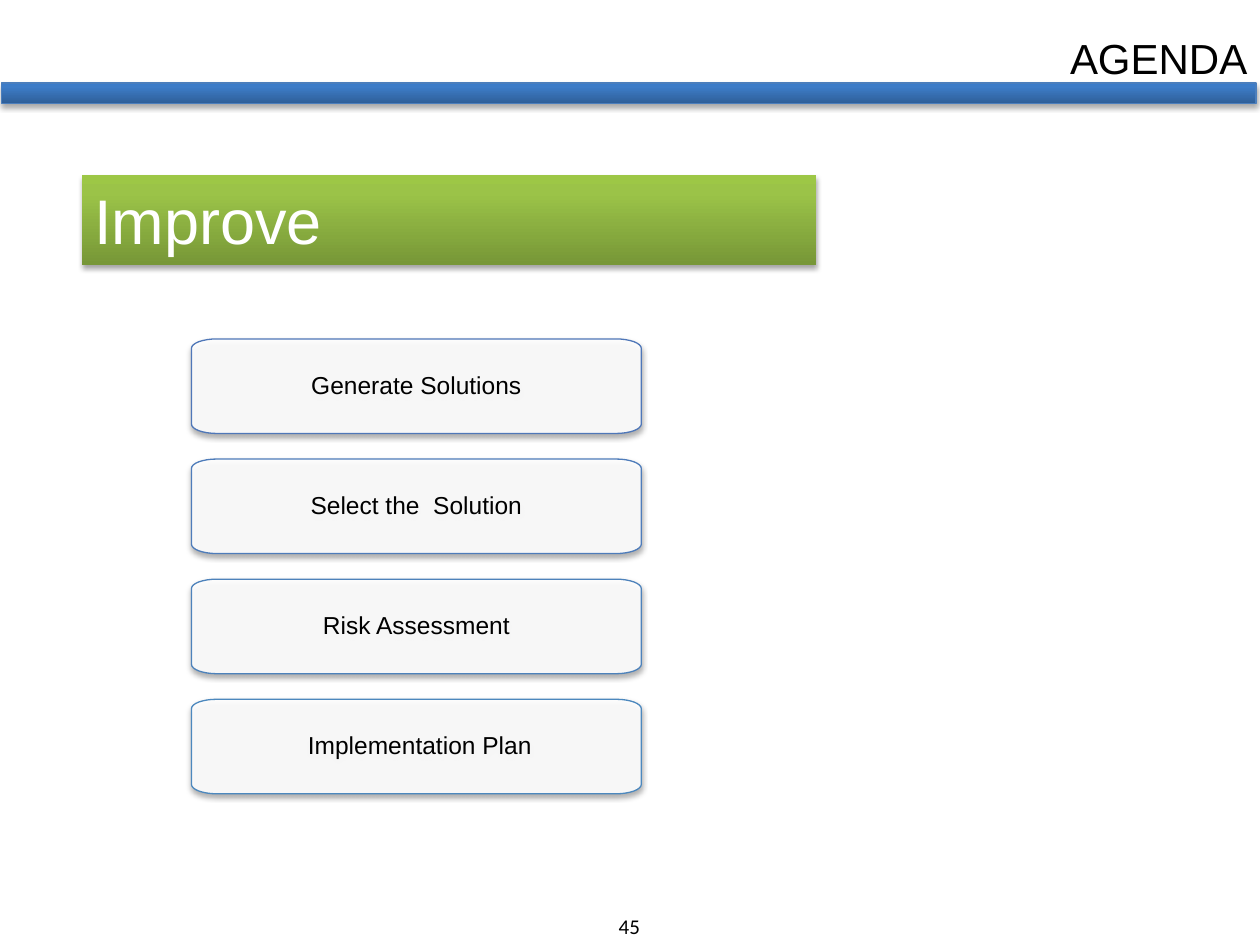
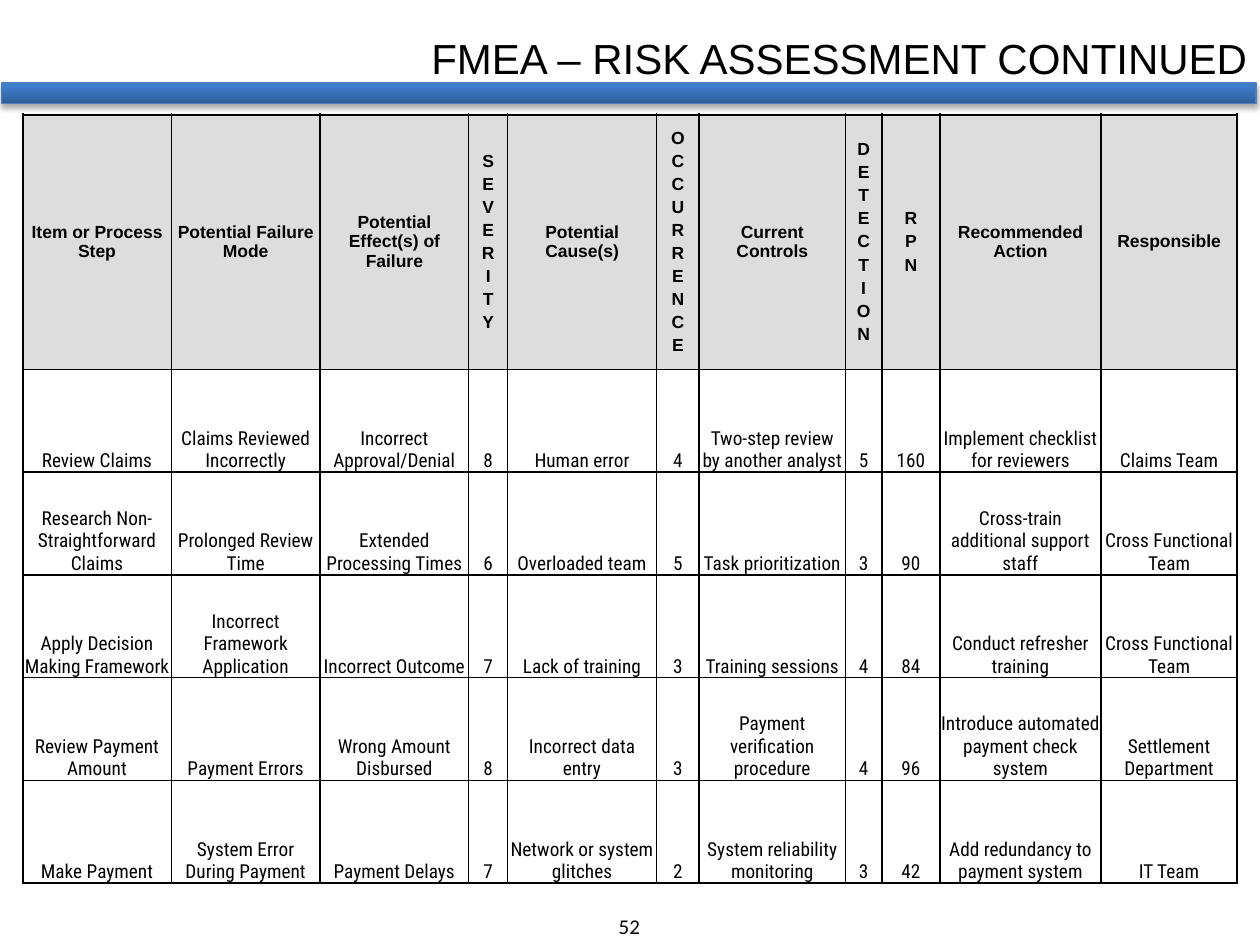
from dataclasses import dataclass
from copy import deepcopy
from math import cos, pi, sin

from lxml.etree import SubElement
from pptx import Presentation
from pptx.dml.color import RGBColor
from pptx.enum.shapes import MSO_SHAPE
from pptx.enum.text import MSO_ANCHOR, MSO_AUTO_SIZE, PP_ALIGN
from pptx.oxml.ns import qn
from pptx.util import Inches, Pt

COLUMNS, ROWS = 100, 75


@dataclass(frozen=True)
class Theme:
    heading_font: str = "Arial"
    table_font: str = "Roboto Condensed"
    number_font: str = "Calibri"
    black: str = "000000"
    white: str = "FFFFFF"
    header_fill: str = "DDDDDD"
    rule_line: str = "4B7EBC"
    rule_gradient: tuple = ((0, "2F5F99"), (0.8, "3D7CC7"), (1, "3A7CCB"))
    phase_gradient: tuple = ((0, "779737"), (0.8, "9BC348"), (1, "9DC746"))
    card_lines: tuple = ("4F77B8", "4E7CBA", "4D82BB", "4C88BE")
    title_size: int = 24
    phase_size: int = 36
    card_size: int = 14
    number_size: int = 12
    header_size: int = 10
    body_size: int = 11


THEME = Theme()


@dataclass(frozen=True)
class Box:
    left: float
    top: float
    width: float
    height: float

    def emu(self):
        return [grid(v) for v in (self.left, self.top, self.width, self.height)]


RULE = Box(0.1, 6.6, 99.6, 1.6)
PAGE_NUMBER = Box(46.8, 72, 6.3, 3)
PHASE = Box(6.5, 13.9, 58.3, 7.1)
CARDS = Box(15.2, 26.9, 35.7, 36.1)
FMEA_TABLE = Box(1.8, 9.1, 96.5, 61)

AGENDA_ITEMS = ("Generate Solutions", "Select the  Solution", "Risk Assessment", " Implementation Plan")
FMEA_COLUMNS = (
    ("Item or Process Step", 11.8), ("Potential Failure Mode", 11.8),
    ("Potential Effect(s) of Failure", 11.8), ("SEVERITY", 3.1),
    ("Potential Cause(s)", 11.8), ("OCCURRENCE", 3.4), ("Current Controls", 11.6),
    ("DETECTION", 2.9), ("RPN", 4.6), ("Recommended Action", 12.8), ("Responsible", 10.8),
)
STACKED_HEADERS = {"SEVERITY", "OCCURRENCE", "DETECTION", "RPN"}
FMEA_ROWS = (
    ("Review Claims", "Claims Reviewed Incorrectly", "Incorrect Approval/Denial", "8", "Human error", "4",
     "Two-step review by another analyst", "5", "160", "Implement checklist for reviewers", "Claims Team"),
    ("Research Non-Straightforward Claims", "Prolonged Review Time", "Extended Processing Times", "6",
     "Overloaded team", "5", "Task prioritization", "3", "90", "Cross-train additional support staff",
     "Cross Functional Team"),
    ("Apply Decision Making Framework", "Incorrect Framework Application", "Incorrect Outcome", "7",
     "Lack of training", "3", "Training sessions", "4", "84", "Conduct refresher training",
     "Cross Functional Team"),
    ("Review Payment Amount", "Payment Errors", "Wrong Amount Disbursed", "8", "Incorrect data entry", "3",
     "Payment verification procedure", "4", "96", "Introduce automated payment check system",
     "Settlement Department"),
    ("Make Payment", "System Error During Payment", "Payment Delays", "7", "Network or system glitches", "2",
     "System reliability monitoring", "3", "42", "Add redundancy to payment system", "IT Team"),
)


def grid(units):
    return Inches(units * 10 / COLUMNS)


def color(value):
    return RGBColor.from_string(value)


def set_paragraph(paragraph, text, size, font, ink=THEME.black, align=PP_ALIGN.CENTER, bold=False):
    paragraph.text = text
    paragraph.alignment = align
    paragraph.font.size = Pt(size)
    paragraph.font.name = font
    paragraph.font.bold = bold
    paragraph.font.color.rgb = color(ink)


def set_gradient(shape, stops):
    shape.fill.gradient()
    shape.fill.gradient_angle = 90
    stop_list = shape._element.spPr.find(qn("a:gradFill")).find(qn("a:gsLst"))
    stop_list.append(deepcopy(stop_list[0]))
    for stop, (position, value) in zip(shape.fill.gradient_stops, stops):
        stop.position = position
        stop.color.rgb = color(value)


def add_alpha(parent, value, percent):
    tint = SubElement(parent, qn("a:srgbClr"), val=value)
    SubElement(tint, qn("a:alpha"), val=str(percent * 1000))


def set_shadow(shape):
    shape.shadow.inherit = False
    effects = shape._element.spPr.find(qn("a:effectLst"))
    shadow = SubElement(effects, qn("a:outerShdw"), blurRad=str(Pt(3.1)), dist=str(Pt(1.8)),
                        dir="5400000", rotWithShape="0")
    add_alpha(shadow, THEME.black, 35)


def set_outline(shape, value):
    shape.line.color.rgb = color(value)
    shape.line.width = Pt(0.75)


def add_band(slide, box, stops):
    band = slide.shapes.add_shape(MSO_SHAPE.RECTANGLE, *box.emu())
    set_gradient(band, stops)
    set_shadow(band)
    return band


def add_frame(presentation, title, title_left, number):
    slide = presentation.slides.add_slide(presentation.slide_layouts[5])
    set_outline(add_band(slide, RULE, THEME.rule_gradient), THEME.rule_line)

    heading = slide.shapes.title
    heading.left, heading.top, heading.width, heading.height = Box(
        title_left, 2.1, COLUMNS - title_left, 5).emu()
    heading.text_frame.auto_size = MSO_AUTO_SIZE.NONE
    heading.text_frame.vertical_anchor = MSO_ANCHOR.TOP
    set_paragraph(heading.text_frame.paragraphs[0], title, THEME.title_size,
                  THEME.heading_font, align=PP_ALIGN.RIGHT)

    footer = slide.shapes.add_textbox(*PAGE_NUMBER.emu())
    footer.text_frame.word_wrap = True
    set_paragraph(footer.text_frame.paragraphs[0], number, THEME.number_size, THEME.number_font)
    return slide


def add_phase(slide, box, text):
    band = add_band(slide, box, THEME.phase_gradient)
    band.line.fill.background()
    band.text_frame.vertical_anchor = MSO_ANCHOR.TOP
    set_paragraph(band.text_frame.paragraphs[0], text, THEME.phase_size,
                  THEME.heading_font, THEME.white, PP_ALIGN.LEFT)


def rounded_outline(box, radius_x=2, radius_y=0.75, steps=8):
    right, bottom = box.left + box.width, box.top + box.height
    centers = ((right - radius_x, bottom - radius_y), (box.left + radius_x, bottom - radius_y),
               (box.left + radius_x, box.top + radius_y), (right - radius_x, box.top + radius_y))
    return [(grid(x + radius_x * cos(angle)), grid(y + radius_y * sin(angle)))
            for corner, (x, y) in enumerate(centers)
            for angle in ((corner + step / steps) * pi / 2 for step in range(steps + 1))]


def add_card(slide, box, text, line):
    points = rounded_outline(box)
    builder = slide.shapes.build_freeform(*points[0])
    builder.add_line_segments(points[1:], close=True)
    card = builder.convert_to_shape()
    card.fill.solid()
    card.fill.fore_color.rgb = color(THEME.white)
    solid = card._element.spPr.find(qn("a:solidFill"))
    solid.clear()
    add_alpha(solid, THEME.white, 90)
    set_outline(card, line)
    set_shadow(card)
    frame = card.text_frame
    frame.word_wrap = True
    frame.vertical_anchor = MSO_ANCHOR.MIDDLE
    frame.margin_left = frame.margin_right = grid(0.5)
    frame.margin_top = frame.margin_bottom = grid(0.4)
    set_paragraph(frame.paragraphs[0], text, THEME.card_size, THEME.heading_font)
    frame.paragraphs[0].line_spacing = 0.9


def add_cards(slide, box, items, height=7.5):
    pitch = (box.height - height) / (len(items) - 1)
    for index, (text, line) in enumerate(zip(items, THEME.card_lines)):
        add_card(slide, Box(box.left, box.top + index * pitch, box.width, height), text, line)


def set_borders(cell, outer_sides):
    properties = cell._tc.get_or_add_tcPr()
    for index, side in enumerate(("L", "R", "T", "B")):
        width = Pt(1.5 if side in outer_sides else 1)
        border = SubElement(properties, qn(f"a:ln{side}"), w=str(width))
        fill = SubElement(border, qn("a:solidFill"))
        SubElement(fill, qn("a:srgbClr"), val=THEME.black)
        properties.remove(border)
        properties.insert(index, border)


def fill_header_cell(cell, text):
    cell.fill.solid()
    cell.fill.fore_color.rgb = color(THEME.header_fill)
    cell.vertical_anchor = MSO_ANCHOR.MIDDLE
    cell.margin_left = cell.margin_right = cell.margin_top = cell.margin_bottom = grid(0.5)
    lines = list(text) if text in STACKED_HEADERS else [text]
    frame = cell.text_frame
    for index, line in enumerate(lines):
        paragraph = frame.add_paragraph() if index else frame.paragraphs[0]
        set_paragraph(paragraph, line, THEME.header_size, THEME.heading_font, bold=True)
        paragraph.space_before = Pt(2)


def fill_body_cell(cell, text):
    cell.fill.background()
    cell.vertical_anchor = MSO_ANCHOR.BOTTOM
    cell.margin_left = cell.margin_right = cell.margin_top = grid(0.1)
    cell.margin_bottom = 0
    set_paragraph(cell.text_frame.paragraphs[0], text, THEME.body_size, THEME.table_font)


def add_fmea_table(slide, box, columns, body, header_height=20.2):
    records = [[name for name, width in columns], *body]
    last_row, last_column = len(records) - 1, len(columns) - 1
    table = slide.shapes.add_table(len(records), len(columns), *box.emu()).table
    table.first_row = table.horz_banding = False
    for column, (name, width) in zip(table.columns, columns):
        column.width = grid(width)
    for row_index, record in enumerate(records):
        table.rows[row_index].height = grid(
            (box.height - header_height) / len(body) if row_index else header_height)
        for column_index, text in enumerate(record):
            cell = table.cell(row_index, column_index)
            (fill_body_cell if row_index else fill_header_cell)(cell, text)
            edges = {"L": column_index == 0, "R": column_index == last_column,
                     "T": row_index == 0, "B": row_index == last_row}
            set_borders(cell, {side for side, outer in edges.items() if outer})


def build_agenda(presentation):
    slide = add_frame(presentation, "AGENDA", 48.4, "45")
    add_phase(slide, PHASE, "Improve")
    add_cards(slide, CARDS, AGENDA_ITEMS)


def build_risk_assessment(presentation):
    slide = add_frame(presentation, "FMEA – RISK ASSESSMENT CONTINUED", 28, "52")
    add_fmea_table(slide, FMEA_TABLE, FMEA_COLUMNS, FMEA_ROWS)


def main():
    presentation = Presentation()
    presentation.slide_width = grid(COLUMNS)
    presentation.slide_height = grid(ROWS)
    build_agenda(presentation)
    build_risk_assessment(presentation)
    presentation.save("out.pptx")


if __name__ == "__main__":
    main()
